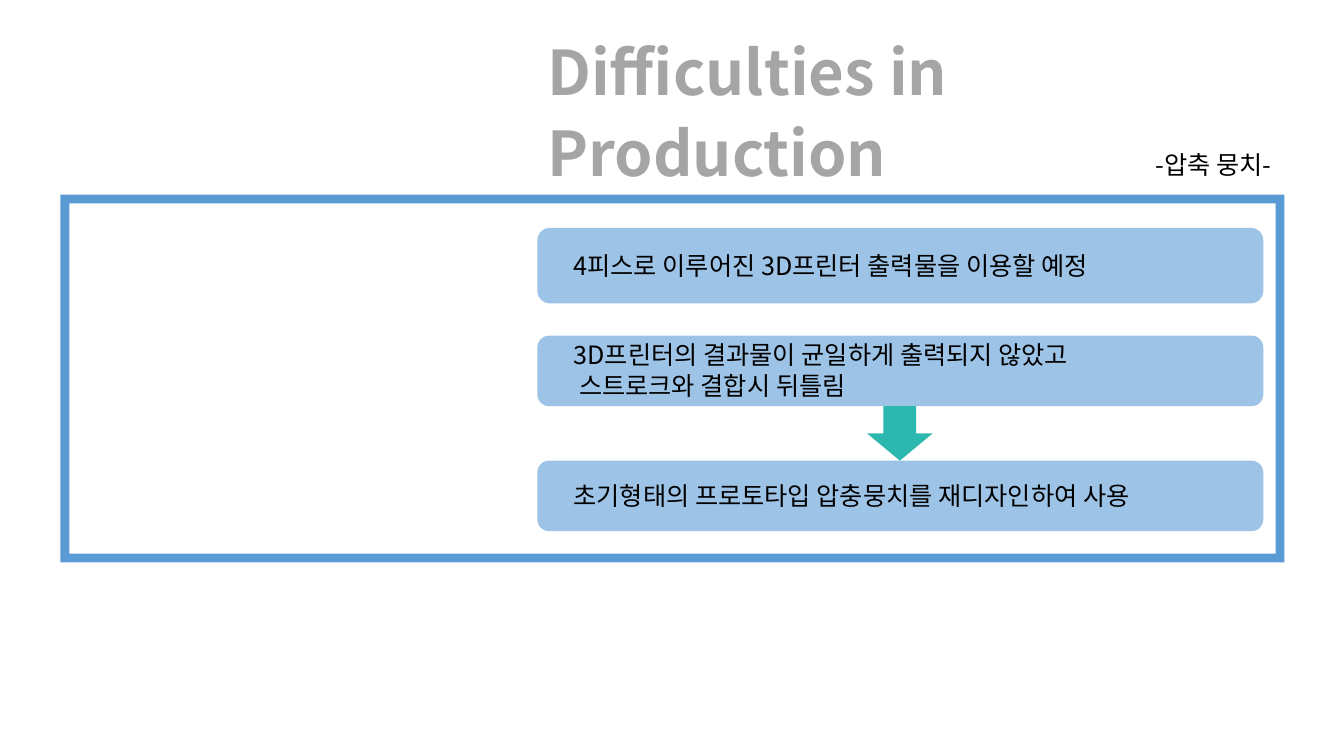
from collections import namedtuple

from lxml.etree import SubElement
from pptx import Presentation
from pptx.dml.color import RGBColor
from pptx.enum.shapes import MSO_SHAPE
from pptx.enum.text import MSO_ANCHOR, MSO_AUTO_SIZE, PP_ALIGN
from pptx.oxml.ns import qn
from pptx.util import Pt

PX = 9144  # 100 px to the inch
FONT = "Noto Sans CJK KR"
BLACK = RGBColor(0x00, 0x00, 0x00)
GRAY = RGBColor(0xA5, 0xA5, 0xA5)
BLUE = RGBColor(0x5B, 0x9B, 0xD5)
PALE_BLUE = RGBColor(0x9D, 0xC3, 0xE6)
TEAL = RGBColor(0x2C, 0xB8, 0xAE)

Box = namedtuple("Box", "left top width height")

# Top and height of each card, with its lines of text
CARDS = [
    (33, 75, ["4피스로 이루어진 3D프린터 출력물을 이용할 예정"]),
    (140, 70, ["3D프린터의 결과물이 균일하게 출력되지 않았고",
               " 스트로크와 결합시 뒤틀림"]),
    (264, 70, ["초기형태의 프로토타입 압충뭉치를 재디자인하여 사용"]),
]


def emu(box):
    return [value * PX for value in box]


def add_plain_shape(page, kind, box, color):
    shape = page.shapes.add_shape(kind, *emu(box))
    shape.shadow.inherit = False
    shape.fill.solid()
    shape.fill.fore_color.rgb = color
    shape.line.fill.background()
    return shape


def add_text(page, box, lines, size=18, color=BLACK, bold=False,
             align=PP_ALIGN.LEFT, spacing=None, anchor=MSO_ANCHOR.TOP,
             auto_size=MSO_AUTO_SIZE.SHAPE_TO_FIT_TEXT):
    frame = page.shapes.add_textbox(*emu(box)).text_frame
    frame.word_wrap = True
    frame.auto_size = auto_size
    frame.vertical_anchor = anchor
    for index, line in enumerate(lines):
        para = frame.add_paragraph() if index else frame.paragraphs[0]
        para.alignment = align
        para.line_spacing = spacing
        span = para.add_run()
        span.text = line
        span.font.size = Pt(size)
        span.font.bold = bold
        span.font.name = FONT
        span.font.color.rgb = color
        SubElement(span.font._element, qn("a:ea"), typeface=FONT)


def add_heading(page, box):
    title = Box(box.left, box.top, box.width, 101)
    add_text(page, title, ["Difficulties in Production"], size=44, color=GRAY,
             bold=True, spacing=1.1, anchor=MSO_ANCHOR.MIDDLE,
             auto_size=MSO_AUTO_SIZE.NONE)
    subtitle = Box(box.left, box.top + 87, box.width - 22, 40)
    add_text(page, subtitle, ["-압축 뭉치-"], align=PP_ALIGN.RIGHT)


def add_card(page, box, lines):
    add_plain_shape(page, MSO_SHAPE.ROUNDED_RECTANGLE, box, PALE_BLUE)
    height = 9 + 31 * len(lines)
    top = box.top + (box.height - height) // 2
    add_text(page, Box(box.left + 26, top, 648, height), lines)


def add_arrow_between(page, upper, lower):
    width = 65
    top = upper.top + upper.height
    left = upper.left + (upper.width - width) // 2
    add_plain_shape(page, MSO_SHAPE.DOWN_ARROW,
                    Box(left, top, width, lower.top - top), TEAL)


def add_framed_cards(page, box):
    border = add_plain_shape(page, MSO_SHAPE.FRAME, box, BLUE)
    border.adjustments[0] = 0.024
    cards = []
    for top, height, lines in CARDS:
        card = Box(box.left + 473, box.top + top, 720, height)
        add_card(page, card, lines)
        cards.append(card)
    add_arrow_between(page, cards[1], cards[2])


def main():
    deck = Presentation()
    deck.slide_width = 1333 * PX
    deck.slide_height = 750 * PX
    page = deck.slides.add_slide(deck.slide_layouts[6])
    add_framed_cards(page, Box(60, 193, 1214, 365))
    add_heading(page, Box(533, 56, 760, 127))
    deck.save("out.pptx")


if __name__ == "__main__":
    main()
